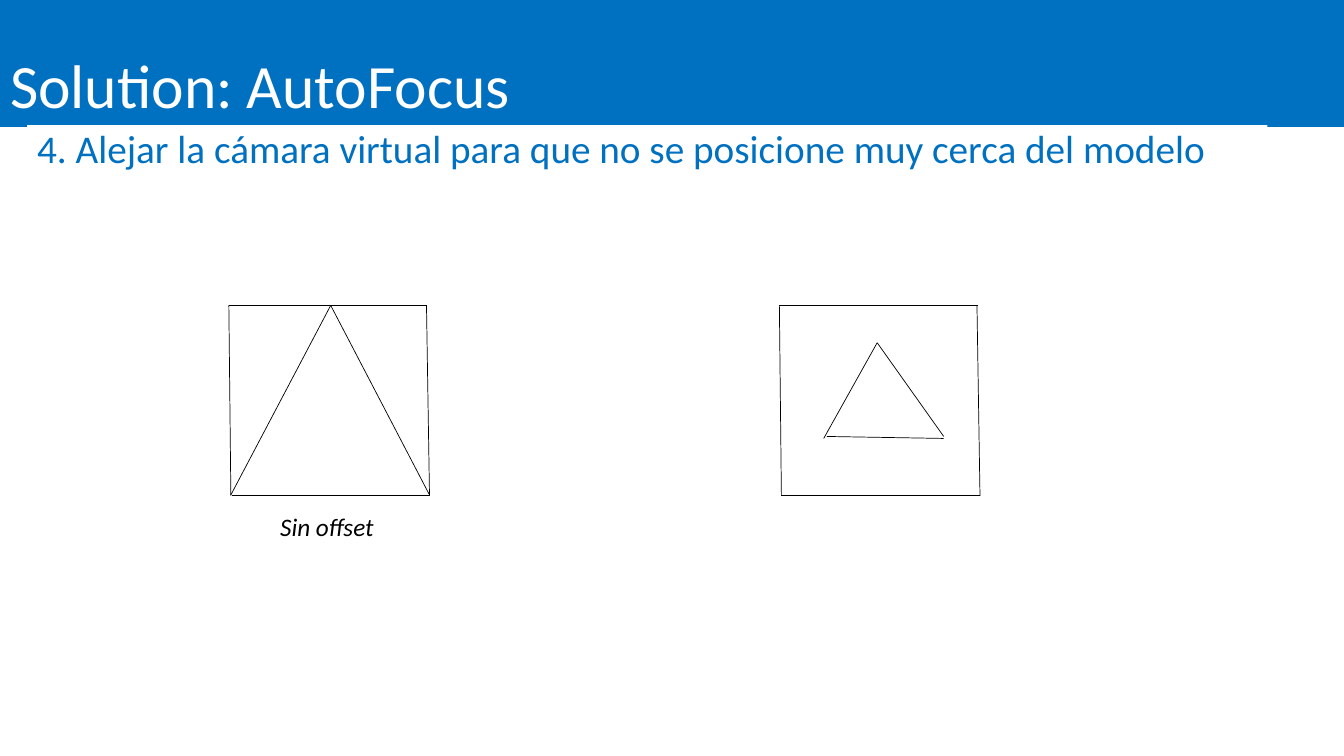
from dataclasses import dataclass

from lxml import etree
from pptx import Presentation
from pptx.dml.color import RGBColor
from pptx.enum.shapes import MSO_CONNECTOR
from pptx.enum.text import MSO_ANCHOR, PP_ALIGN
from pptx.oxml.ns import qn
from pptx.util import Inches, Pt

STRAIGHT = MSO_CONNECTOR.STRAIGHT
TOP, BOTTOM = MSO_ANCHOR.TOP, MSO_ANCHOR.BOTTOM
LEFT, JUSTIFY = PP_ALIGN.LEFT, PP_ALIGN.JUSTIFY


@dataclass(frozen=True)
class Theme:
    font: str = "Calibri"
    blue: RGBColor = RGBColor(0x00, 0x70, 0xC0)
    white: RGBColor = RGBColor(0xFF, 0xFF, 0xFF)
    black: RGBColor = RGBColor(0x00, 0x00, 0x00)
    title: Pt = Pt(44)
    subtitle: Pt = Pt(28)
    caption: Pt = Pt(18)
    stroke: Pt = Pt(0.5)


THEME = Theme()
FRAME = [
    ((0, 0), (1.97, 0)),
    ((0, 0), (0.02, 1.89)),
    ((1.96, 0), (1.99, 1.89)),
    ((0.03, 1.88), (1.99, 1.88)),
]
FULL_TRIANGLE = [((1.01, 0), (0.02, 1.88)), ((1.01, 0), (1.99, 1.88))]
SMALL_TRIANGLE = [
    ((0.97, 0.37), (0.44, 1.32)),
    ((0.97, 0.37), (1.63, 1.3)),
    ((0.47, 1.3), (1.63, 1.32)),
]


def set_attrs(obj, values):
    for name, value in values.items():
        setattr(obj, name, value)


def fill(sp, color):
    sp.fill.solid()
    sp.fill.fore_color.rgb = color


def write(sp, text, size, color, anchor=TOP, italic=False, **paragraph):
    tf = sp.text_frame
    set_attrs(tf, {"word_wrap": True, "vertical_anchor": anchor})
    p = tf.paragraphs[0]
    set_attrs(p, {"alignment": LEFT, **paragraph})
    r = p.add_run()
    r.text = text
    set_attrs(r.font, {"name": THEME.font, "size": size, "italic": italic, "bold": False})
    r.font.color.rgb = color


def add_text(s, box, text, size, color, **options):
    sp = s.shapes.add_textbox(*map(Inches, box))
    write(sp, text, size, color, **options)
    return sp


def add_header(s, box):
    sp = s.shapes.title
    set_attrs(sp, dict(zip(("left", "top", "width", "height"), map(Inches, box))))
    fill(sp, THEME.blue)
    write(sp, "Solution: AutoFocus", THEME.title, THEME.white, anchor=BOTTOM, line_spacing=0.9)


def add_subtitle(s, box):
    text = "4. Alejar la cámara virtual para que no se posicione muy cerca del modelo"
    sp = add_text(s, box, text, THEME.subtitle, THEME.blue, alignment=JUSTIFY, line_spacing=0.9)
    fill(sp, THEME.white)


def add_view(s, left, top, triangle):
    for (x1, y1), (x2, y2) in FRAME + triangle:
        ends = (left + x1, top + y1, left + x2, top + y2)
        line = s.shapes.add_connector(STRAIGHT, *map(Inches, ends))
        line.line.color.rgb = THEME.black
        line.line.width = THEME.stroke
        etree.SubElement(line._element.spPr, qn("a:effectLst"))


def main():
    prs = Presentation()
    set_attrs(prs, {"slide_width": Inches(13.33), "slide_height": Inches(7.5)})
    s = prs.slides.add_slide(prs.slide_layouts[5])
    add_header(s, (0, 0, 13.33, 1.26))
    add_subtitle(s, (0.27, 1.24, 12.3, 1.05))
    add_view(s, 2.27, 3.03, FULL_TRIANGLE)
    add_view(s, 7.73, 3.03, SMALL_TRIANGLE)
    add_text(s, (2.68, 5.02, 1.71, 0.4), "Sin offset", THEME.caption, THEME.black, italic=True)
    prs.save("out.pptx")


if __name__ == "__main__":
    main()
